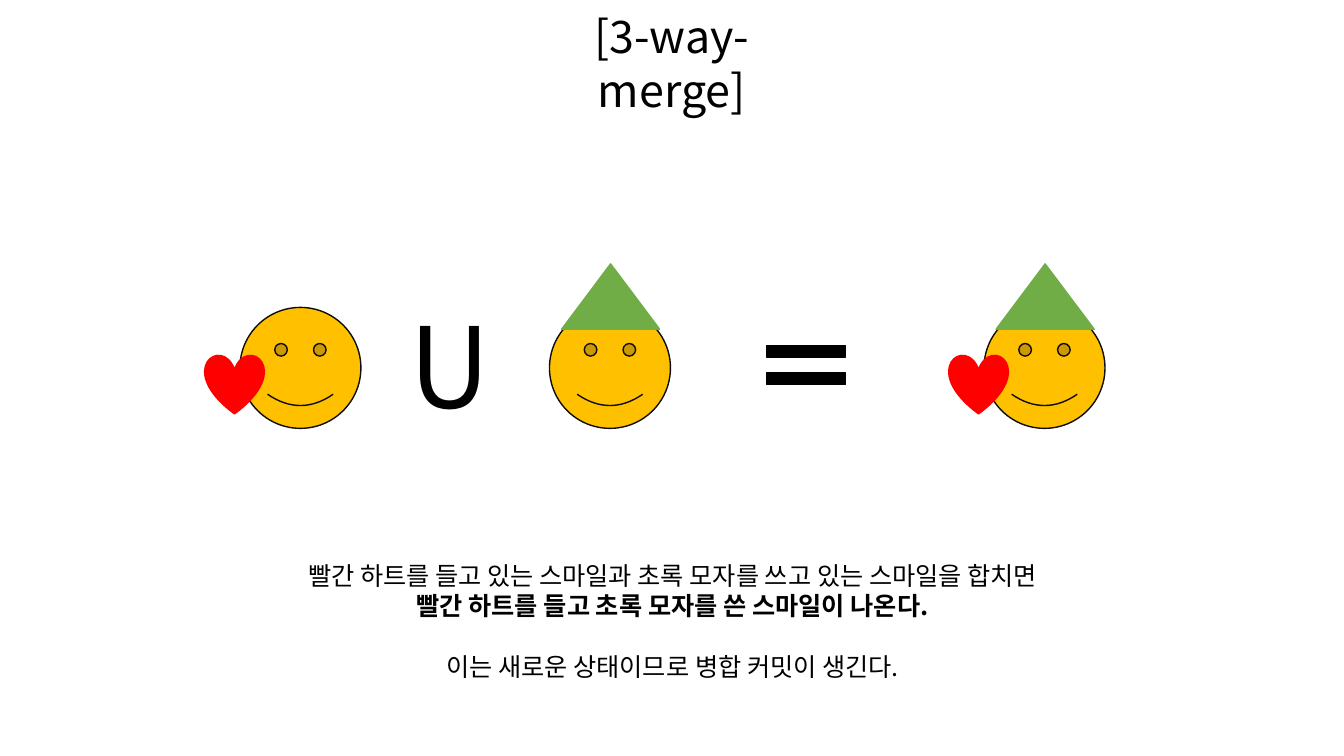
from dataclasses import dataclass

from lxml.etree import SubElement
from pptx import Presentation
from pptx.dml.color import RGBColor
from pptx.enum.shapes import MSO_SHAPE
from pptx.enum.text import MSO_ANCHOR, PP_ALIGN
from pptx.oxml.ns import qn
from pptx.util import Inches, Pt


@dataclass(frozen=True)
class Theme:
    """Colours, font and type sizes of the deck."""
    ink: str = "000000"
    outline: str = "0D0D0D"
    face: str = "FFC000"
    heart: str = "FF0000"
    hat: str = "70AD47"
    font: str = "Noto Sans CJK KR"
    title: int = 32
    operator: int = 80
    body: int = 18
    body_gap: float = 21.6


THEME = Theme()
FACE_SIZE = 1.2
FACE_TOP = 3.05
CAPTION = (
    ("빨간 하트를 들고 있는 스마일과 초록 모자를 쓰고 있는 스마일을 합치면", False, 0),
    ("빨간 하트를 들고 초록 모자를 쓴 스마일이 나온다.", True, 0),
    ("이는 새로운 상태이므로 병합 커밋이 생긴다.", False, THEME.body_gap),
)


def add_figure(page, kind, box, fill, outline=None):
    """Add a filled preset shape in the given box."""
    figure = page.shapes.add_shape(kind, *map(Inches, box))
    figure.shadow.inherit = False
    figure.fill.solid()
    figure.fill.fore_color.rgb = RGBColor.from_string(fill)
    figure.line.color.rgb = RGBColor.from_string(outline or fill)
    figure.line.width = Pt(1)
    return figure


def add_frame(page, box, side_margin=0.1, wrap=True, anchor=MSO_ANCHOR.TOP):
    """Add an empty text box and return its text frame."""
    frame = page.shapes.add_textbox(*map(Inches, box)).text_frame
    frame.word_wrap = wrap
    frame.vertical_anchor = anchor
    frame.margin_left = frame.margin_right = Inches(side_margin)
    return frame


def write(para, text, size, bold=False, before=0):
    """Write one centred paragraph with its format."""
    para.alignment = PP_ALIGN.CENTER
    para.space_before = Pt(before)
    span = para.add_run()
    span.text = text
    span.font.name = THEME.font
    span.font.size = Pt(size)
    span.font.bold = bold
    span.font.color.rgb = RGBColor.from_string(THEME.ink)
    SubElement(span.font._element, qn("a:ea"), typeface=THEME.font)


def add_title(page, box):
    """Place the title, broken over two lines, in the middle of its box."""
    frame = add_frame(page, box, side_margin=0.25, anchor=MSO_ANCHOR.MIDDLE)
    write(frame.paragraphs[0], "[3-way-merge]", THEME.title)


def add_smile(page, left, top, size, hat=False, heart=False):
    """Draw a smiling face that may wear a hat and hold a heart."""
    add_figure(page, MSO_SHAPE.SMILEY_FACE, (left, top, size, size),
               THEME.face, THEME.outline)
    if hat:
        add_figure(page, MSO_SHAPE.ISOSCELES_TRIANGLE,
                   (left + 0.1 * size, top - 0.36 * size, 0.81 * size, 0.54 * size),
                   THEME.hat)
    if heart:
        add_figure(page, MSO_SHAPE.HEART,
                   (left - 0.29 * size, top + 0.39 * size, 0.49 * size, 0.49 * size),
                   THEME.heart)


def add_union(page, box):
    """Place the union sign."""
    frame = add_frame(page, box, wrap=False)
    write(frame.paragraphs[0], "U", THEME.operator)


def add_equals(page, box):
    """Place the equals sign."""
    sign = add_figure(page, MSO_SHAPE.MATH_EQUAL, box, THEME.ink)
    sign.adjustments[0] = 0.235
    sign.adjustments[1] = 0.333


def add_caption(page, box):
    """Write the explanation under the equation."""
    frame = add_frame(page, box)
    for index, (text, bold, before) in enumerate(CAPTION):
        para = frame.add_paragraph() if index else frame.paragraphs[0]
        write(para, text, THEME.body, bold=bold, before=before)


def add_merge_page(deck):
    """Build the page that explains the three-way merge."""
    page = deck.slides.add_slide(deck.slide_layouts[6])
    add_title(page, (5.08, 0.3, 3.17, 0.64))
    add_smile(page, 2.38, FACE_TOP, FACE_SIZE, heart=True)
    add_union(page, (3.96, 2.89, 0.99, 1.45))
    add_smile(page, 5.45, FACE_TOP, FACE_SIZE, hat=True)
    add_equals(page, (7.46, 3.38, 1.07, 0.48))
    add_smile(page, 9.76, FACE_TOP, FACE_SIZE, hat=True, heart=True)
    add_caption(page, (2.46, 5.51, 8.42, 1.31))


def main():
    """Create and save the deck."""
    deck = Presentation()
    deck.slide_width, deck.slide_height = Inches(13.33), Inches(7.5)
    add_merge_page(deck)
    deck.save("out.pptx")


if __name__ == "__main__":
    main()
